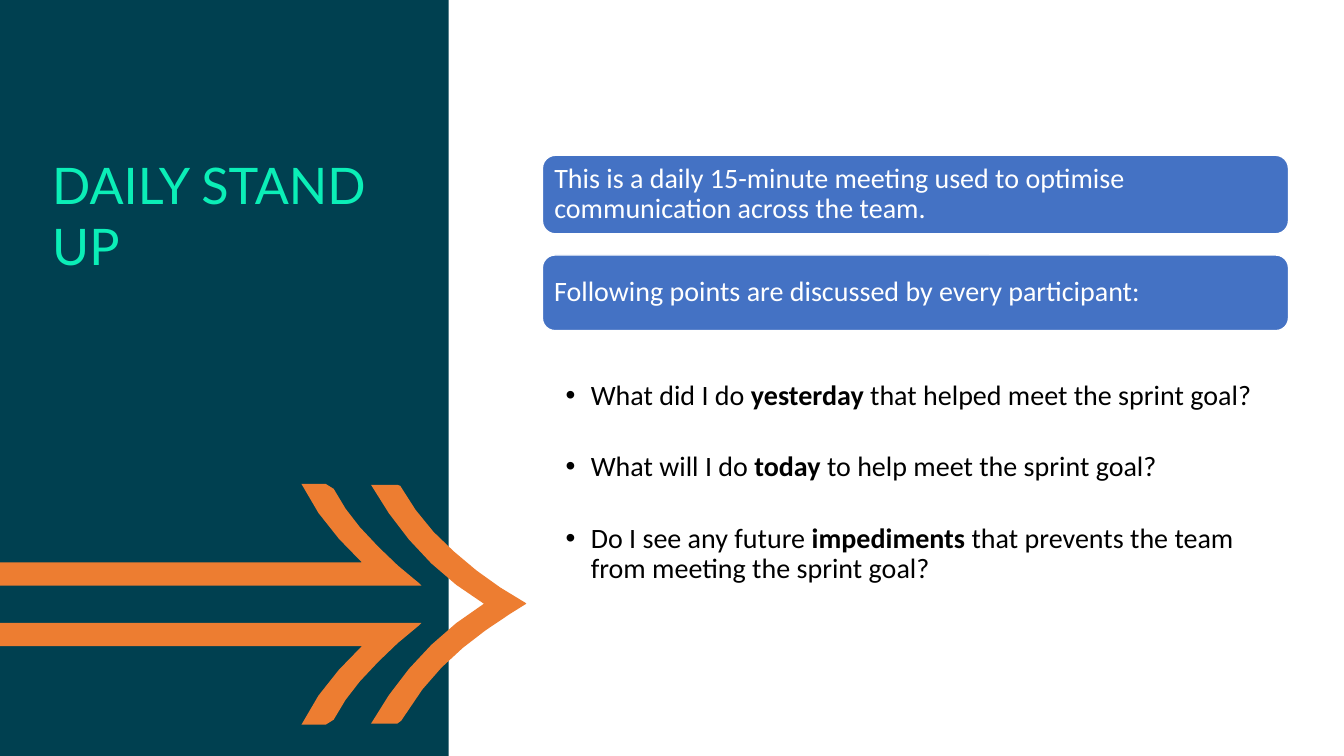
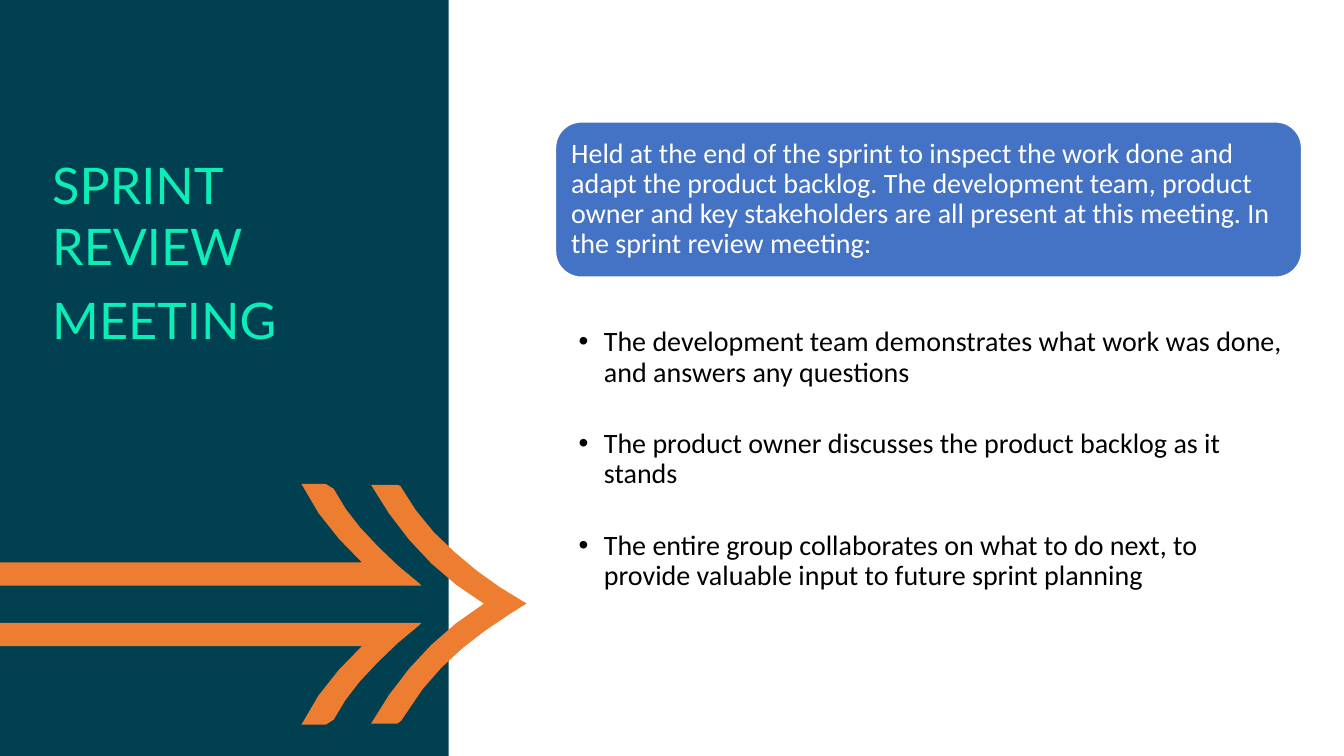
import math

import pptx
import pptx.util
import pptx.dml.color
import pptx.enum.shapes
import pptx.enum.text
import lxml.etree

RGBColor = pptx.dml.color.RGBColor
SHAPE = pptx.enum.shapes.MSO_SHAPE
ANCHOR = pptx.enum.text.MSO_ANCHOR
ALIGN = pptx.enum.text.PP_ALIGN
Pt = pptx.util.Pt

PX = 9144  # EMU per px, 100 px to the inch
SLIDE_W, SLIDE_H = 1333, 750

TEAL = RGBColor(0x00, 0x40, 0x50)
ORANGE = RGBColor(0xED, 0x7D, 0x31)
MINT = RGBColor(0x0B, 0xEE, 0xB7)
BLUE = RGBColor(0x44, 0x72, 0xC4)
WHITE = RGBColor(0xFF, 0xFF, 0xFF)
BLACK = RGBColor(0x00, 0x00, 0x00)
TITLE_FONT, BODY_FONT, BULLET_FONT = "Lato", "Calibri", "Arial"

# Content: panels are (top, height, text); each bullet is (text, bold) runs
SLIDES = [
    {
        "title": ["DAILY STAND UP"],
        "left": 538,
        "panels": [
            (154, 78, "This is a daily 15-minute meeting used to optimise "
                      "communication across the team."),
            (253, 75, "Following points are discussed by every participant:"),
        ],
        "bullets": [
            [("What did I do ", False), ("yesterday", True),
             (" that helped meet the sprint goal?", False)],
            [("What will I do ", False), ("today", True),
             (" to help meet the sprint goal?", False)],
            [("Do I see any future ", False), ("impediments", True),
             (" that prevents the team from meeting the sprint goal?", False)],
        ],
        "bullets_height": 220,
    },
    {
        "title": ["SPRINT REVIEW", "MEETING"],
        "left": 551,
        "panels": [
            (121, 154, "Held at the end of the sprint to inspect the work done and "
                       "adapt the product backlog. The development team, product "
                       "owner and key stakeholders are all present at this meeting. "
                       "In the sprint review meeting:"),
        ],
        "bullets": [
            [("The development team demonstrates what work was done, "
              "and answers any questions", False)],
            [("The product owner discusses the product backlog as it stands", False)],
            [("The entire group collaborates on what to do next, to provide "
              "valuable input to future sprint planning", False)],
        ],
        "bullets_height": 276,
    },
]
CONTENT_W = 740
BULLETS_GAP = 47

# Arrow outlines: a pair is a straight line, six numbers are a Bézier curve
ARROW_AXIS_Y2 = 1199  # twice the height of the arrow's axis
UPPER_SHAFT = [
    (418, 581), (-62, 581), (-62, 558), (359, 558),
    (335, 535, 314, 511, 299, 480), (323, 480),
    (326, 480, 330, 482, 331, 485), (338, 499, 347, 511, 357, 523),
    (375, 543, 394, 562, 415, 578),
]
LOWER_SHAFT = [
    tuple(ARROW_AXIS_Y2 - v if i % 2 else v for i, v in enumerate(step))
    for step in UPPER_SHAFT
]
ARROW_TIP = [
    (480, 599), (432, 570, 396, 530, 368, 481), (394, 481), (397, 482),
    (411, 507, 429, 529, 450, 547), (472, 567, 496, 584, 521, 598), (522, 599),
    (506, 609), (473, 630, 443, 653, 419, 684),
    (411, 693, 404, 704, 398, 715), (394, 718),
    (368, 718), (396, 669, 432, 629, 480, 599),
]
CURVE_STEP = 30


def outline_points(steps):
    """Turn lines and Bézier curves into a list of EMU points."""
    points = [steps[0]]
    for step in steps[1:]:
        if len(step) == 2:
            points.append(step)
            continue
        controls = [points[-1], step[0:2], step[2:4], step[4:6]]
        parts = max(1, round(math.dist(controls[0], controls[3]) / CURVE_STEP))
        for n in range(1, parts + 1):
            t = n / parts
            weights = ((1 - t) ** 3, 3 * t * (1 - t) ** 2, 3 * t * t * (1 - t), t ** 3)
            points.append(tuple(sum(w * c[axis] for w, c in zip(weights, controls))
                                for axis in (0, 1)))
    return [(round(x * PX), round(y * PX)) for x, y in points]


def box(left, top, width, height):
    return [v * PX for v in (left, top, width, height)]


def paint(shape, fill, line=None):
    shape.shadow.inherit = False
    shape.fill.solid()
    shape.fill.fore_color.rgb = fill
    if line is None:
        shape.line.fill.background()
    else:
        shape.line.color.rgb = line
        shape.line.width = Pt(1)


def set_insets(frame, left, top, right, bottom):
    frame.word_wrap = True
    frame.margin_left, frame.margin_top = left * PX, top * PX
    frame.margin_right, frame.margin_bottom = right * PX, bottom * PX


def style_run(run, font, size, color, bold=False):
    run.font.name = font
    run.font.size = Pt(size)
    run.font.color.rgb = color
    run.font.bold = bold


def add_band_and_arrow(slide):
    band = slide.shapes.add_shape(SHAPE.RECTANGLE, *box(0, 0, 445, SLIDE_H))
    paint(band, TEAL)
    for steps in (UPPER_SHAFT, ARROW_TIP, LOWER_SHAFT):
        start, *rest = outline_points(steps)
        builder = slide.shapes.build_freeform(*start, scale=1.0)
        builder.add_line_segments(rest, close=True)
        paint(builder.convert_to_shape(), ORANGE)


def add_title(slide, lines):
    frame = slide.shapes.add_textbox(*box(42, 148, 377, 301)).text_frame
    set_insets(frame, 10, 5, 10, 5)
    frame.text = "\n".join(lines)
    for paragraph in frame.paragraphs:
        paragraph.space_before = Pt(10)
        style_run(paragraph.runs[0], TITLE_FONT, 36, MINT)


def add_panel(slide, left, top, height, text):
    panel = slide.shapes.add_shape(SHAPE.ROUNDED_RECTANGLE,
                                   *box(left, top, CONTENT_W, height))
    paint(panel, BLUE, WHITE)
    frame = panel.text_frame
    set_insets(frame, 8, 8, 8, 8)
    frame.vertical_anchor = ANCHOR.MIDDLE
    frame.text = text
    paragraph = frame.paragraphs[0]
    paragraph.alignment = ALIGN.LEFT
    paragraph.line_spacing = 0.9
    style_run(paragraph.runs[0], BODY_FONT, 20, WHITE)


def add_hanging_bullet(paragraph):
    properties = paragraph._p.get_or_add_pPr()
    properties.set("marL", str(25 * PX))
    properties.set("indent", str(-25 * PX))
    for tag, key, value in (("a:buFont", "typeface", BULLET_FONT),
                            ("a:buChar", "char", "•")):
        mark = lxml.etree.SubElement(properties, pptx.oxml.ns.qn(tag))
        mark.set(key, value)


def add_bullets(slide, left, top, height, bullets):
    frame = slide.shapes.add_textbox(*box(left, top, CONTENT_W, height)).text_frame
    set_insets(frame, 23, 3, 18, 3)
    for i, pieces in enumerate(bullets):
        paragraph = frame.add_paragraph() if i else frame.paragraphs[0]
        paragraph.line_spacing = 0.9
        paragraph.space_before = Pt(29.5 if i else 0)
        add_hanging_bullet(paragraph)
        paragraph.font.size = Pt(20)
        for text, bold in pieces:
            run = paragraph.add_run()
            run.text = text
            style_run(run, BODY_FONT, 20, BLACK, bold)


def main():
    deck = pptx.Presentation()
    deck.slide_width, deck.slide_height = SLIDE_W * PX, SLIDE_H * PX
    for content in SLIDES:
        slide = deck.slides.add_slide(deck.slide_layouts[6])
        add_band_and_arrow(slide)
        add_title(slide, content["title"])
        for top, height, text in content["panels"]:
            add_panel(slide, content["left"], top, height, text)
        # Bullets start below the last panel
        add_bullets(slide, content["left"], top + height + BULLETS_GAP,
                    content["bullets_height"], content["bullets"])
    deck.save("out.pptx")


if __name__ == "__main__":
    main()
